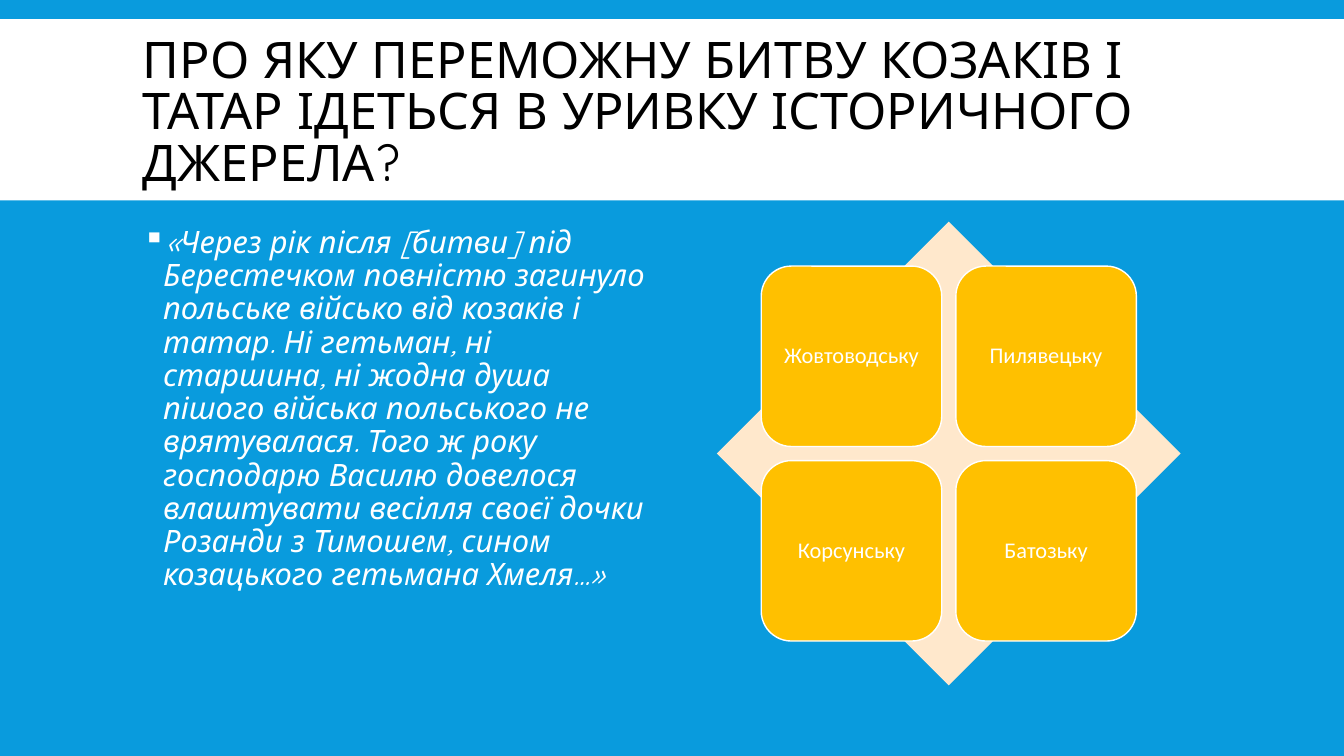
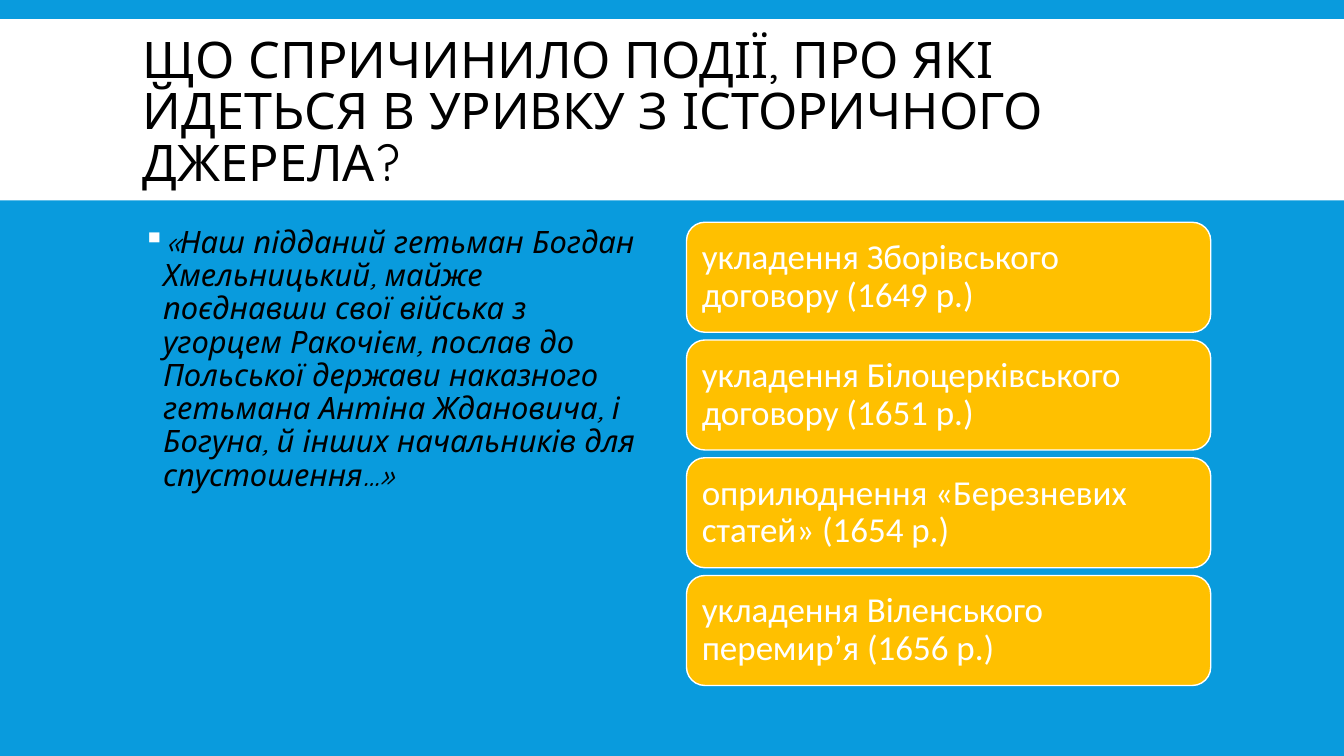
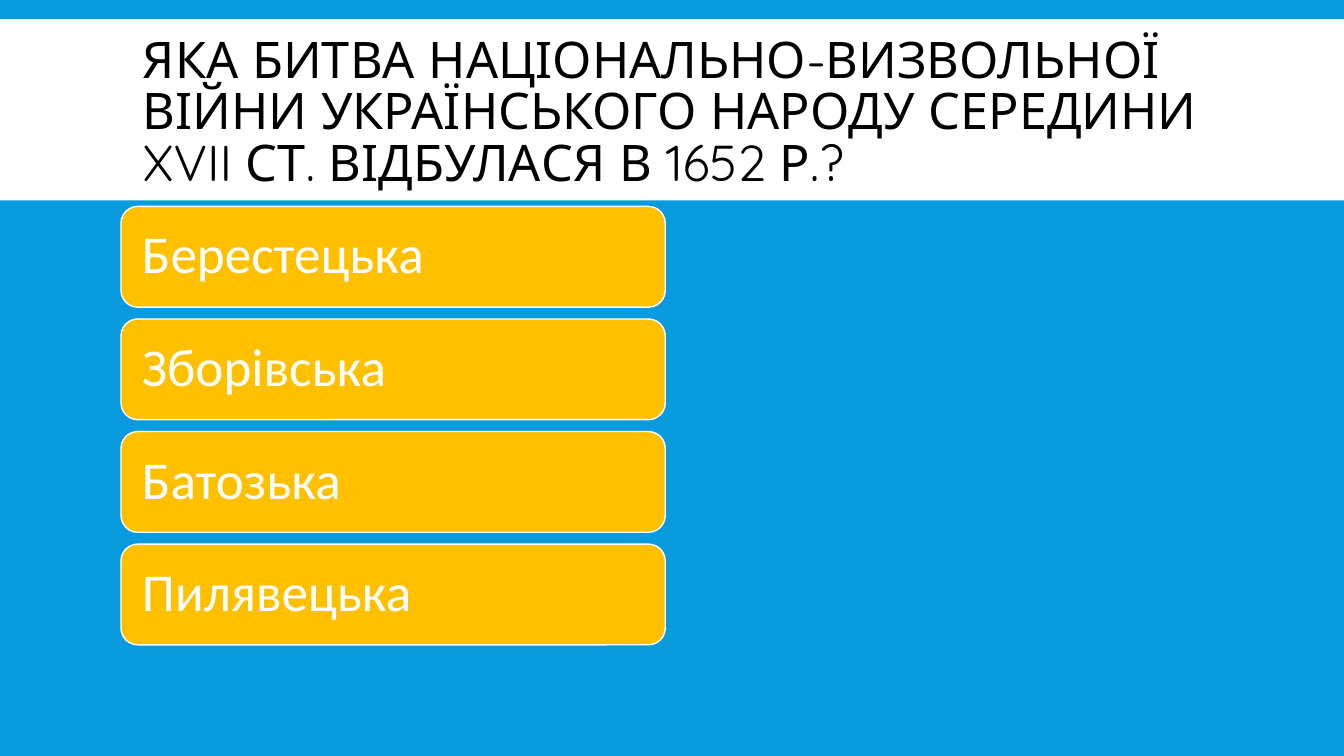
from lxml.etree import SubElement
from pptx import Presentation
from pptx.dml.color import RGBColor
from pptx.enum.shapes import MSO_SHAPE
from pptx.enum.text import MSO_ANCHOR, PP_ALIGN
from pptx.oxml.ns import qn
from pptx.util import Inches, Pt

COLORS = {
    "sky": "099BDD",
    "white": "FFFFFF",
    "black": "000000",
    "amber": "FFC000",
    "cream": "FFE8CC",
}
HEAD_FONT, CARD_FONT = "Quicksand", "Calibri"


def rgb(name):
    return RGBColor.from_string(COLORS[name])


def write(tf, text, font=HEAD_FONT, size=22, color="white", italic=False, align=PP_ALIGN.LEFT,
          spacing=0.9, anchor=MSO_ANCHOR.TOP, inset=None, bullet=None):
    """Put one formatted paragraph into a text frame; inset is in inches."""
    tf.word_wrap = True
    tf.vertical_anchor = anchor
    if inset is not None:
        tf.margin_left = tf.margin_right = tf.margin_top = tf.margin_bottom = Inches(inset)
    p = tf.paragraphs[0]
    p.alignment = align
    p.line_spacing = spacing
    if bullet:
        pPr = p._p.get_or_add_pPr()
        pPr.set("marL", str(Inches(0.2)))
        pPr.set("indent", str(-Inches(0.2)))
        clr = SubElement(pPr, qn("a:buClr"))
        SubElement(clr, qn("a:srgbClr"), val=COLORS["white"])
        SubElement(pPr, qn("a:buChar"), char=bullet)
    r = p.add_run()
    r.text = text
    r.font.name, r.font.size, r.font.italic = font, Pt(size), italic
    r.font.color.rgb = rgb(color)


class Deck:
    """Quiz slides; every area is (left, top, width, height) in percent of the slide."""

    def __init__(self):
        self.prs = Presentation()
        self.prs.slide_width, self.prs.slide_height = Inches(13.33), Inches(7.5)
        fill = self.prs.slide_master.background.fill
        fill.solid()
        fill.fore_color.rgb = rgb("sky")

    def box(self, area):
        sides = (self.prs.slide_width, self.prs.slide_height) * 2
        return [round(share * side / 100) for share, side in zip(area, sides)]

    def question(self, title):
        self.s = self.prs.slides.add_slide(self.prs.slide_layouts[6])
        self.shape(MSO_SHAPE.RECTANGLE, self.box((0, 2.53, 100, 24)), "white")
        self.text(title, (9.9, 4.13, 80.25, 22), size=36, color="black",
                  spacing=0.85, anchor=MSO_ANCHOR.MIDDLE)

    def shape(self, kind, box, fill, line=None):
        sp = self.s.shapes.add_shape(kind, *box)
        sp.shadow.inherit = False
        sp.fill.solid()
        sp.fill.fore_color.rgb = rgb(fill)
        if line:
            sp.line.color.rgb = rgb(line)
            sp.line.width = Pt(1)
        else:
            sp.line.fill.background()
        return sp

    def text(self, text, area, **fmt):
        write(self.s.shapes.add_textbox(*self.box(area)).text_frame, text, **fmt)

    def quote(self, text, color):
        self.text(text, (9.9, 29.33, 39, 61.33), color=color, italic=True, bullet="▪")

    def diamond(self, area):
        self.shape(MSO_SHAPE.DIAMOND, self.box(area), "cream")

    def answers(self, texts, area, gap, cols=1, **fmt):
        """Fill the area row by row with equal cards; gap is in percent of the height."""
        left, top, width, height = self.box(area)
        gap = round(gap * self.prs.slide_height / 100)
        rows = len(texts) // cols
        w = (width - gap * (cols - 1)) // cols
        h = (height - gap * (rows - 1)) // rows
        for i, text in enumerate(texts):
            row, col = divmod(i, cols)
            box = (left + col * (w + gap), top + row * (h + gap), w, h)
            sp = self.shape(MSO_SHAPE.ROUNDED_RECTANGLE, box, "amber", line="white")
            write(sp.text_frame, text, font=CARD_FONT, anchor=MSO_ANCHOR.MIDDLE, **fmt)


def main():
    deck = Deck()

    deck.question("ПРО ЯКУ ПЕРЕМОЖНУ БИТВУ КОЗАКІВ І ТАТАР ІДЕТЬСЯ В УРИВКУ ІСТОРИЧНОГО ДЖЕРЕЛА?")
    deck.quote("«Через рік після [битви] під Берестечком повністю загинуло польське "
               "військо від козаків і татар. Ні гетьман, ні старшина, ні жодна душа "
               "пішого війська польського не врятувалася. Того ж року господарю Василю "
               "довелося влаштувати весілля своєї дочки Розанди з Тимошем, сином "
               "козацького гетьмана Хмеля...»", "white")
    deck.diamond((53.34, 29.33, 34.51, 61.33))
    deck.answers(["Жовтоводську", "Пилявецьку", "Корсунську", "Батозьку"],
                 (56.64, 35.2, 27.91, 49.6), gap=1.87, cols=2,
                 size=16, align=PP_ALIGN.CENTER, inset=0.07)

    deck.question("ЩО СПРИЧИНИЛО ПОДІЇ, ПРО ЯКІ ЙДЕТЬСЯ В УРИВКУ З ІСТОРИЧНОГО ДЖЕРЕЛА?")
    deck.quote("«Наш підданий гетьман Богдан Хмельницький, майже поєднавши свої війська "
               "з угорцем Ракочієм, послав до Польської держави наказного гетьмана "
               "Антіна Ждановича, і Богуна, й інших начальників для спустошення...»", "black")
    deck.answers(["укладення Зборівського договору (1649 р.)",
                  "укладення Білоцерківського договору (1651 р.)",
                  "оприлюднення «Березневих статей» (1654 р.)",
                  "укладення Віленського перемир’я (1656 р.)"],
                 (51.08, 29.4, 39, 61.27), gap=1.03, size=25, inset=0.1)

    deck.question("ЯКА БИТВА НАЦІОНАЛЬНО-ВИЗВОЛЬНОЇ ВІЙНИ УКРАЇНСЬКОГО НАРОДУ СЕРЕДИНИ "
                  "XVII СТ. ВІДБУЛАСЯ В 1652 Р.?")
    deck.answers(["Берестецька", "Зборівська", "Батозька", "Пилявецька"],
                 (9, 27.3, 40.5, 58), gap=1.56, size=38, inset=0.16)

    deck.prs.save("out.pptx")


if __name__ == "__main__":
    main()
